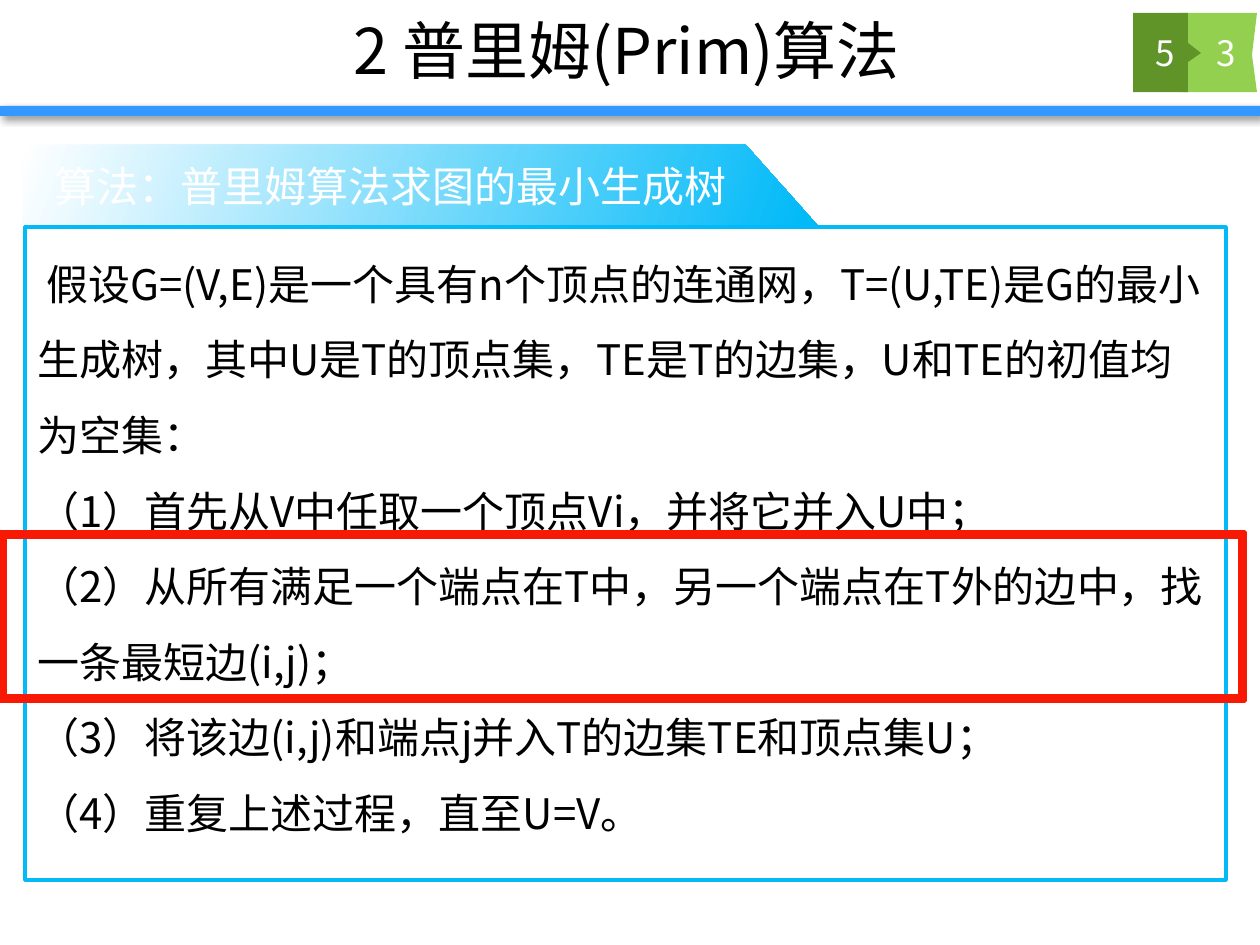
import pptx
import pptx.util
import pptx.dml.color
import pptx.enum.shapes
import pptx.enum.text
import pptx.oxml
import pptx.oxml.ns

RGB = pptx.dml.color.RGBColor
SHAPES = pptx.enum.shapes.MSO_SHAPE
ALIGN = pptx.enum.text.PP_ALIGN
ANCHOR = pptx.enum.text.MSO_ANCHOR

BLACK = RGB(0x00, 0x00, 0x00)
WHITE = RGB(0xFF, 0xFF, 0xFF)
RULE_BLUE = RGB(0x33, 0x99, 0xFF)
PANEL_BLUE = RGB(0x02, 0xBA, 0xF8)
LIGHT_GREEN = RGB(0x93, 0xD0, 0x50)
DARK_GREEN = RGB(0x61, 0x94, 0x28)
RED = RGB(0xF7, 0x19, 0x03)
FONT = "Noto Sans CJK SC"
SCALE = 914400 / 126

STEPS = [
    "假设G=(V,E)是一个具有n个顶点的连通网，T=(U,TE)是G的最小生成树，"
    "其中U是T的顶点集，TE是T的边集，U和TE的初值均为空集：",
    "（1）首先从V中任取一个顶点Vi，并将它并入U中；",
    "（2）从所有满足一个端点在T中，另一个端点在T外的边中，找一条最短边(i,j)；",
    "（3）将该边(i,j)和端点j并入T的边集TE和顶点集U；",
    "（4）重复上述过程，直至U=V。",
]


def px(length):
    return pptx.util.Emu(round(length * SCALE))


def write_text(shape, lines, size, color, align=ALIGN.LEFT, anchor=ANCHOR.MIDDLE,
               spacing=1.0, first_indent=0):
    frame = shape.text_frame
    frame.word_wrap = True
    frame.vertical_anchor = anchor
    for index, line in enumerate(lines):
        para = frame.paragraphs[0] if index == 0 else frame.add_paragraph()
        para.alignment = align
        para.line_spacing = spacing
        if index == 0 and first_indent:
            para._p.get_or_add_pPr().set("indent", str(px(first_indent)))
        span = para.add_run()
        span.text = line
        span.font.size = pptx.util.Pt(size)
        span.font.name = FONT
        span.font.color.rgb = color
        east_asian = pptx.oxml.parse_xml(
            f'<a:ea {pptx.oxml.ns.nsdecls("a")} typeface="{FONT}"/>')
        span.font._element.append(east_asian)


def add_text(page, bounds, text, size, color):
    box = page.shapes.add_textbox(*map(px, bounds))
    write_text(box, [text], size, color, align=ALIGN.CENTER)


def paint(shape, fill=None, line=None):
    shape.shadow.inherit = False
    if fill is None:
        shape.fill.background()
    else:
        shape.fill.solid()
        shape.fill.fore_color.rgb = fill
    if line is None:
        shape.line.fill.background()
    else:
        shape.line.color.rgb = line
        shape.line.width = pptx.util.Pt(2)


def add_preset(page, kind, bounds, fill=None, line=None, adjustment=None):
    shape = page.shapes.add_shape(kind, *map(px, bounds))
    if adjustment is not None:
        shape.adjustments[0] = adjustment
    paint(shape, fill, line)
    return shape


def add_outline(page, points, fill=None):
    builder = page.shapes.build_freeform(*points[0], scale=SCALE)
    builder.add_line_segments(points[1:], close=True)
    shape = builder.convert_to_shape()
    paint(shape, fill)
    return shape


def add_shadow(shape):
    effects = shape._element.spPr.find(pptx.oxml.ns.qn("a:effectLst"))
    effects.append(pptx.oxml.parse_xml(
        f'<a:outerShdw {pptx.oxml.ns.nsdecls("a")} blurRad="50800" dist="38100" '
        'dir="2700000" algn="tl" rotWithShape="0"><a:srgbClr val="000000">'
        '<a:alpha val="40000"/></a:srgbClr></a:outerShdw>'))


def fade(shape, start, end):
    shape.fill.gradient()
    shape.fill.gradient_angle = 340
    for stop, color, position in zip(shape.fill.gradient_stops, (start, end), (0, 0.98)):
        stop.color.rgb = color
        stop.position = position


def add_header(page):
    rule = add_preset(page, SHAPES.RECTANGLE, (0, 106, 1260, 10), fill=RULE_BLUE)
    add_shadow(rule)
    add_outline(page, [(1182, 13), (1257, 13), (1252, 55), (1257, 92), (1182, 92)],
                LIGHT_GREEN)
    add_outline(page, [(1133, 13), (1188, 13), (1188, 43), (1201, 53), (1188, 62),
                       (1188, 92), (1133, 92)], DARK_GREEN)
    add_text(page, (123, 1, 1007, 97), "2 普里姆(Prim)算法", 36, BLACK)
    for left, number in ((1187, "3"), (1126, "5")):
        add_text(page, (left, 13, 78, 79), number, 20, WHITE)


def add_algorithm(page):
    tab = add_outline(page, [(746, 145), (23, 145), (23, 227), (819, 227)])
    fade(tab, WHITE, PANEL_BLUE)
    write_text(tab, ["算法：普里姆算法求图的最小生成树"], 24, WHITE, first_indent=19)
    panel = add_preset(page, SHAPES.FRAME, (25, 227, 1201, 653),
                       line=PANEL_BLUE, adjustment=0)
    write_text(panel, STEPS, 24, BLACK, anchor=ANCHOR.TOP, spacing=1.5, first_indent=9)
    add_preset(page, SHAPES.FRAME, (0, 532, 1245, 169), fill=RED, line=RED,
               adjustment=0.03)


def main():
    deck = pptx.Presentation()
    deck.slide_width = px(1260)
    deck.slide_height = px(945)
    page = deck.slides.add_slide(deck.slide_layouts[6])
    add_header(page)
    add_algorithm(page)
    deck.save("out.pptx")


if __name__ == "__main__":
    main()
